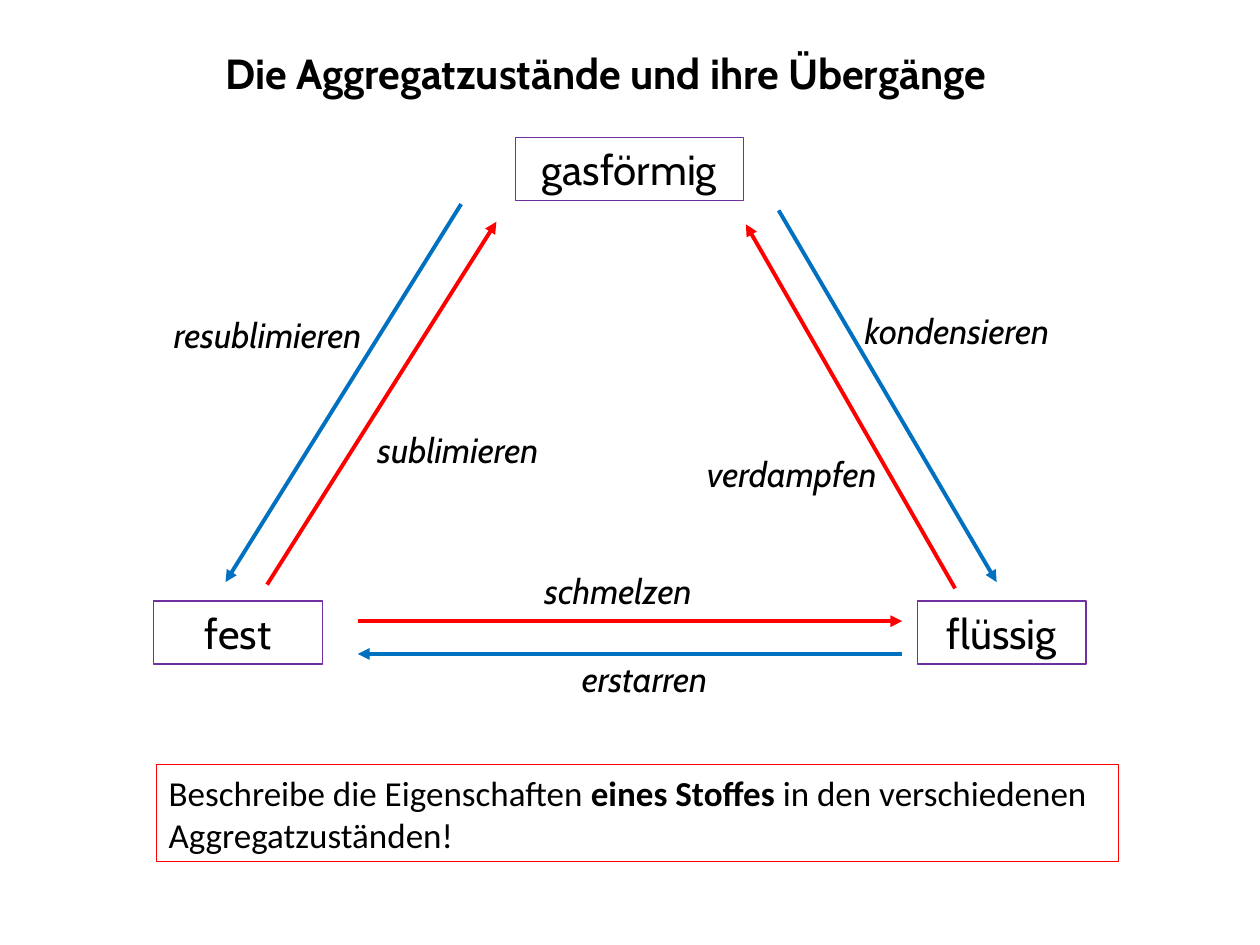
from lxml.etree import SubElement
from pptx import Presentation
from pptx.dml.color import RGBColor
from pptx.enum.shapes import MSO_CONNECTOR, MSO_SHAPE
from pptx.enum.text import MSO_ANCHOR, MSO_AUTO_SIZE, PP_ALIGN
from pptx.oxml.ns import qn
from pptx.util import Inches, Pt

COLORS = {
    "text": "000000",
    "state": "7030A0",
    "heating": "FF0000",
    "cooling": "0070C0",
}
STATES = [
    ("fest", 0.12, 3.68, 1.34),
    ("flüssig", 6.18, 3.68, 1.34),
    ("gasförmig", 2.99, 0, 1.81),
]
TRANSITIONS = [
    ("sublimieren", "heating", (1.02, 3.55), (2.84, 0.67), (1.51, 2.26)),
    ("resublimieren", "cooling", (2.56, 0.53), (0.69, 3.53), (0, 1.35)),
    ("verdampfen", "heating", (6.48, 3.58), (4.82, 0.69), (4.16, 2.45)),
    ("kondensieren", "cooling", (5.08, 0.58), (6.81, 3.53), (5.47, 1.32)),
    ("schmelzen", "heating", (1.74, 3.84), (6.06, 3.84), (2.78, 3.38)),
    ("erstarren", "cooling", (6.06, 4.1), (1.74, 4.1), (2.99, 4.08)),
]


def rgb(name):
    """Return the named colour."""
    return RGBColor.from_string(COLORS[name])


def write(shape, parts, size, font="Cabin", align=PP_ALIGN.LEFT, italic=False):
    """Fill a shape with one paragraph of (text, bold) parts."""
    frame = shape.text_frame
    frame.word_wrap = True
    frame.auto_size = MSO_AUTO_SIZE.SHAPE_TO_FIT_TEXT
    frame.vertical_anchor = MSO_ANCHOR.TOP
    paragraph = frame.paragraphs[0]
    paragraph.alignment = align
    for text, bold in parts:
        run = paragraph.add_run()
        run.text = text
        run.font.name = font
        run.font.size = Pt(size)
        run.font.bold = bold
        run.font.italic = italic
        run.font.color.rgb = rgb("text")


def add_frame(slide, left, top, width, height, color):
    """Add an unfilled rectangle with a thin outline."""
    frame = slide.shapes.add_shape(
        MSO_SHAPE.RECTANGLE, Inches(left), Inches(top), Inches(width), Inches(height)
    )
    frame.shadow.inherit = False
    frame.fill.background()
    frame.line.color.rgb = rgb(color)
    frame.line.width = Pt(0.75)
    return frame


def add_arrow(slide, start, end, color):
    """Add a straight arrow from start to end."""
    arrow = slide.shapes.add_connector(
        MSO_CONNECTOR.STRAIGHT, *(Inches(value) for value in (*start, *end))
    )
    arrow.line.color.rgb = rgb(color)
    arrow.line.width = Pt(2.25)
    SubElement(arrow.line._get_or_add_ln(), qn("a:tailEnd"), type="triangle")
    SubElement(arrow._element.spPr, qn("a:effectLst"))


def add_text(slide, left, top, width, height):
    """Add an empty text box."""
    return slide.shapes.add_textbox(
        Inches(left), Inches(top), Inches(width), Inches(height)
    )


def add_title(slide, left, top, width, height):
    """Place the slide title."""
    title = add_text(slide, left, top, width, height)
    write(title, [("Die Aggregatzustände und ihre Übergänge", True)], 24)


def add_diagram(slide, left, top):
    """Place the triangle of states with its transitions."""
    for name, x, y, width in STATES:
        state = add_frame(slide, left + x, top + y, width, 0.5, "state")
        write(state, [(name, False)], 24, align=PP_ALIGN.CENTER)
    for _, color, start, end, _ in TRANSITIONS:
        ends = [(left + x, top + y) for x, y in (start, end)]
        add_arrow(slide, *ends, color)
    for name, _, _, _, (x, y) in TRANSITIONS:
        label = add_text(slide, left + x, top + y, 2.05, 0.44)
        write(label, [(name, False)], 20, align=PP_ALIGN.CENTER, italic=True)


def add_task(slide, left, top, width, height):
    """Place the framed exercise."""
    task = add_frame(slide, left, top, width, height, "heating")
    parts = [
        ("Beschreibe die Eigenschaften ", False),
        ("eines Stoffes ", True),
        ("in den verschiedenen Aggregatzuständen!", False),
    ]
    write(task, parts, 20, font="Calibri")


def main():
    """Build and save the presentation."""
    presentation = Presentation()
    presentation.slide_width = Inches(10)
    presentation.slide_height = Inches(7.5)
    slide = presentation.slides.add_slide(presentation.slide_layouts[6])
    add_diagram(slide, 1.1, 1.09)
    add_title(slide, 1.69, 0.33, 6.61, 0.9)
    add_task(slide, 1.24, 6.07, 7.64, 0.77)
    presentation.save("out.pptx")


if __name__ == "__main__":
    main()
